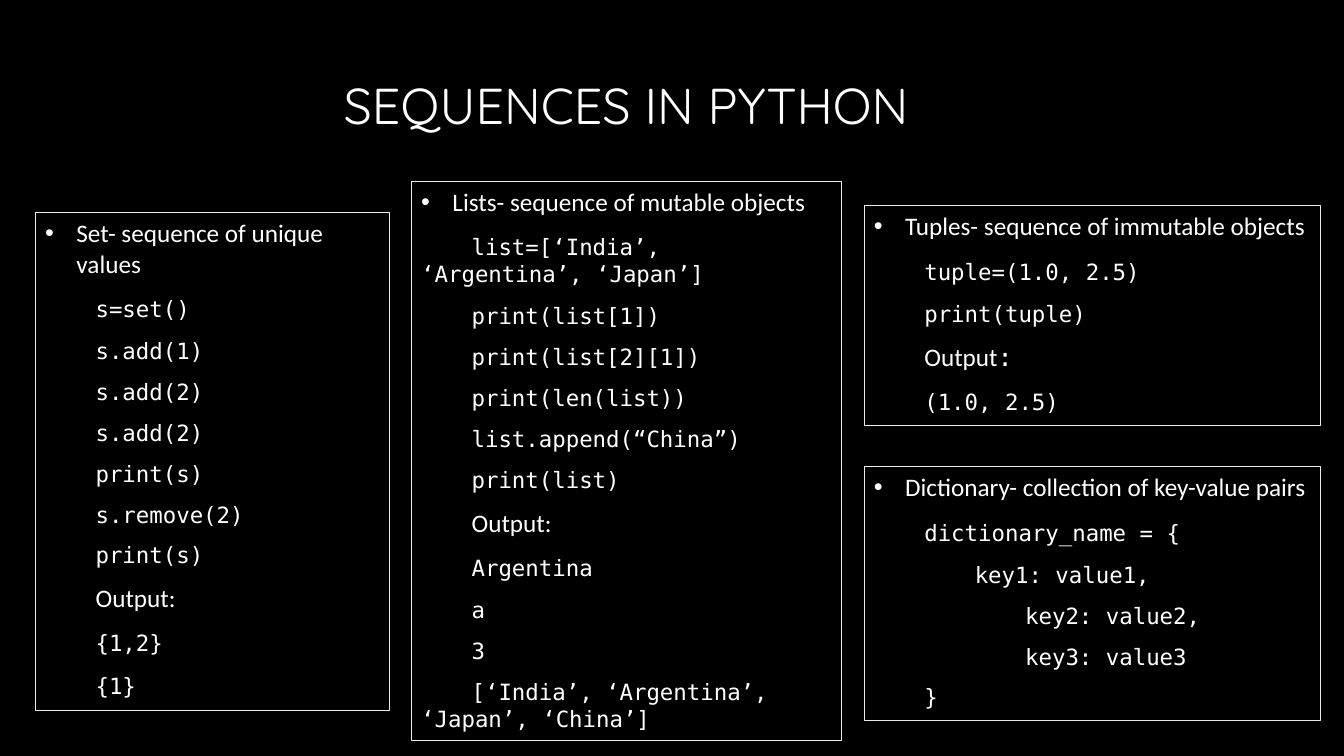
from lxml import etree
from pptx import Presentation
from pptx import util as u
from pptx.dml.color import RGBColor
from pptx.enum import shapes, text
from pptx.oxml import ns

BLACK = RGBColor(0x00, 0x00, 0x00)
WHITE = RGBColor(0xFF, 0xFF, 0xFF)
FRAME = RGBColor(0xEB, 0xEB, 0xEB)

TITLE = {"name": "Quicksand", "size": u.Pt(36)}
PROSE = {"name": "Calibri", "size": u.Pt(18)}
CODE = {"name": "DejaVu Sans Mono", "size": u.Pt(16)}
CODE_COLON = {"name": "DejaVu Sans Mono", "size": u.Pt(18)}

STEP = 0.5  # inches per code indent
HANG = 0.31  # inches between bullet and heading
COLUMNS = [(0.35, 3.51), (4.08, 4.27), (8.57, 4.53)]  # left, width

# Each panel: column, top, height, heading, lines (a leading tab is one more indent)
PANELS = [
    (0, 2.11, 4.94, "Set- sequence of unique values",
     ["s=set()", "s.add(1)", "s.add(2)", "s.add(2)", "print(s)", "s.remove(2)",
      "print(s)", "Output:", "{1,2}", "{1}"]),
    (1, 1.8, 5.55, "Lists- sequence of mutable objects",
     ["list=[‘India’, ‘Argentina’, ‘Japan’]", "print(list[1])", "print(list[2][1])",
      "print(len(list))", "list.append(“China”)", "print(list)", "Output:",
      "Argentina", "a", "3", "[‘India’, ‘Argentina’, ‘Japan’, ‘China’]"]),
    (2, 2.04, 2.18, "Tuples- sequence of immutable objects",
     ["tuple=(1.0, 2.5)", "print(tuple)", "Output:", "(1.0, 2.5)"]),
    (2, 4.63, 2.52, "Dictionary- collection of key-value pairs",
     ["dictionary_name = {", "\tkey1: value1,", "\t\tkey2: value2,",
      "\t\tkey3: value3", "}"]),
]


def add_span(para, words, style):
    span = para.add_run()
    span.text = words
    for key, value in style.items():
        setattr(span.font, key, value)
    span.font.color.rgb = WHITE


def set_paragraph(para, margin, indent, before=0, after=10):
    para.alignment = text.PP_ALIGN.LEFT
    para.space_before = u.Pt(before)
    para.space_after = u.Pt(after)
    props = para._p.get_or_add_pPr()
    props.set("marL", str(u.Inches(margin)))
    props.set("indent", str(u.Inches(indent)))
    return props


deck = Presentation()
deck.slide_width, deck.slide_height = u.Inches(13.33), u.Inches(7.5)
page = deck.slides.add_slide(deck.slide_layouts[6])
page.background.fill.solid()
page.background.fill.fore_color.rgb = BLACK

# Title
box = page.shapes.add_textbox(*map(u.Inches, (3.31, 0.24, 6.72, 1.59)))
box.text_frame.word_wrap = True
box.text_frame.vertical_anchor = text.MSO_ANCHOR.MIDDLE
add_span(box.text_frame.paragraphs[0], "SEQUENCES IN PYTHON", TITLE)

for column, top, height, heading, lines in PANELS:
    # Framed panel
    left, width = COLUMNS[column]
    box = page.shapes.add_shape(shapes.MSO_SHAPE.RECTANGLE,
                                *map(u.Inches, (left, top, width, height)))
    box.shadow.inherit = False
    box.fill.background()
    box.line.color.rgb = FRAME
    box.line.width = u.Pt(0.75)
    frame = box.text_frame
    frame.word_wrap = True
    frame.vertical_anchor = text.MSO_ANCHOR.TOP
    frame.auto_size = text.MSO_AUTO_SIZE.SHAPE_TO_FIT_TEXT

    # Bulleted heading
    para = frame.paragraphs[0]
    props = set_paragraph(para, HANG, -HANG)
    colour = etree.SubElement(props, ns.qn("a:buClr"))
    etree.SubElement(colour, ns.qn("a:srgbClr"), val=str(WHITE))
    etree.SubElement(props, ns.qn("a:buFont"), typeface="Arial")
    etree.SubElement(props, ns.qn("a:buChar"), char="•")
    add_span(para, heading, PROSE)

    # Code and output lines, a little looser right after prose
    after_prose = True
    for line in lines:
        para = frame.add_paragraph()
        level = 1 + line.count("\t")
        set_paragraph(para, 0, level * STEP, *((2, 11) if after_prose else (0, 10)))
        after_prose = line == "Output:"
        if after_prose:
            add_span(para, "Output", PROSE)
            add_span(para, ":", CODE_COLON if heading.startswith("Tuples") else PROSE)
        else:
            add_span(para, line.strip("\t"), CODE)

deck.save("out.pptx")
